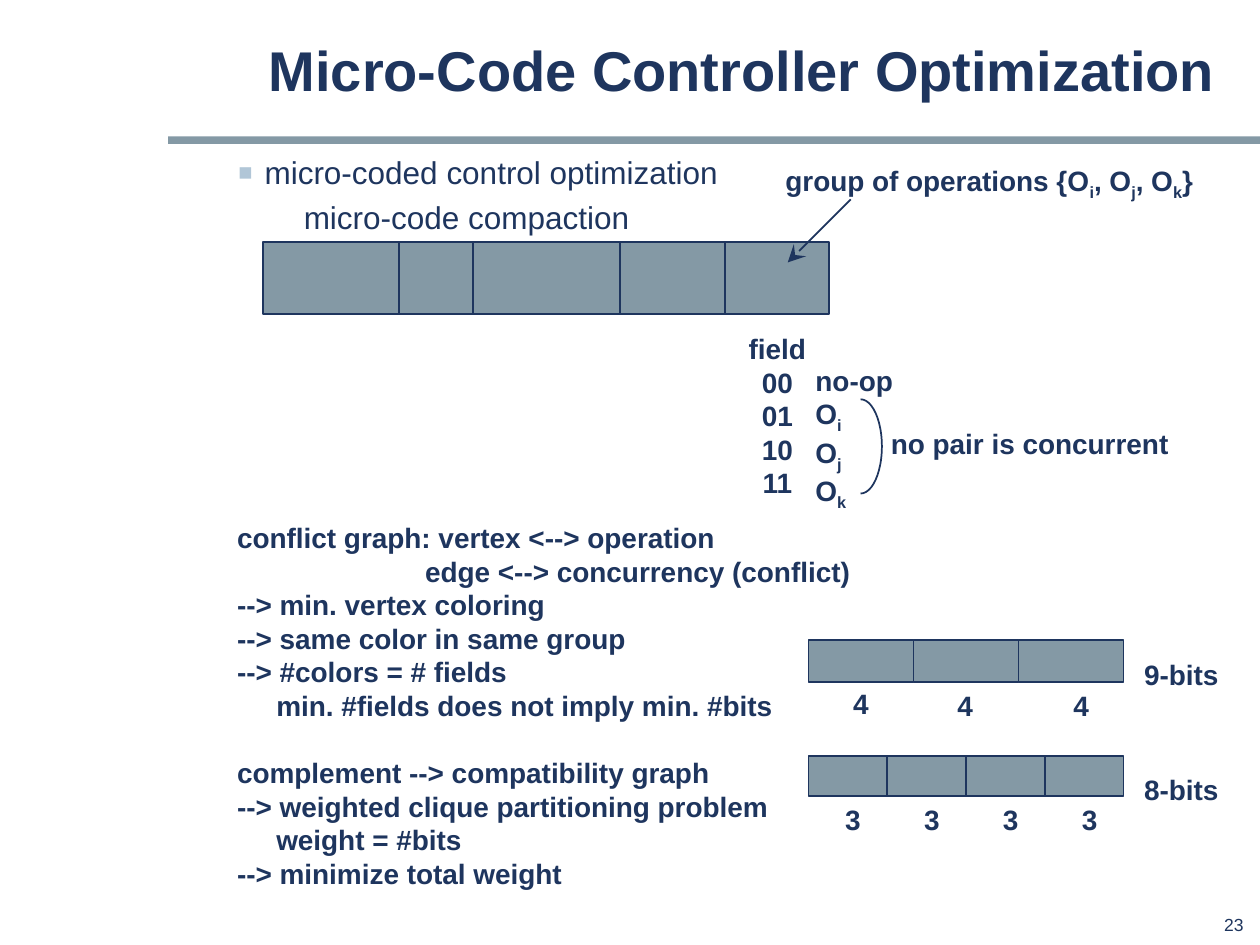
from dataclasses import dataclass

from lxml.etree import SubElement
from pptx import Presentation
from pptx.dml.color import RGBColor
from pptx.enum.shapes import MSO_CONNECTOR as Connector, MSO_SHAPE as Shape
from pptx.enum.text import MSO_ANCHOR as Anchor, MSO_AUTO_SIZE as AutoSize, PP_ALIGN as Align
from pptx.oxml.ns import qn
from pptx.util import Cm, Pt


@dataclass(frozen=True)
class Theme:
    font: str = "Arial"
    ink: str = "1E355E"
    steel: str = "8499A5"
    bullet: str = "B1C6D7"
    title: int = 32
    body: int = 18
    label: int = 16
    number: int = 10
    line: int = 1


THEME = Theme()

# Content: text between tildes is subscript; all lengths are in centimetres
TITLE = "Micro-Code Controller Optimization"
TOPICS = [  # text, level, left margin, first-line indent, bullet
    ("micro-coded control optimization", 1, 1.85, -0.53, "■"),
    ("micro-code compaction", 2, 2.64, 0, None),
]
NOTES = [  # text, left margin, points before
    ("conflict graph: vertex <--> operation", 0, 0),
    ("edge <--> concurrency (conflict)", 3.79, 0),
    ("--> min. vertex coloring", 0, 0),
    ("--> same color in same group", 0, 0),
    ("--> #colors = # fields", 0, 0),
    ("min. #fields does not imply min. #bits", 0.79, 0),
    ("complement --> compatibility graph", 0, 19.2),
    ("--> weighted clique partitioning problem", 0, 0),
    ("weight = #bits", 0.79, 0),
    ("--> minimize total weight", 0, 0),
]
LABELS = [  # lines, place, alignment
    (["field", "00", "01", "10", "11"], (14.83, 6.56, 1.68, 3.63), Align.CENTER),
    (["no-op", "O~i~", "O~j~", "O~k~"], (16.19, 7.2, 2.08, 3.25), Align.LEFT),
    (["group of operations {O~i~, O~j~, O~k~}"], (15.57, 3.18, 8.74, 1.02), Align.CENTER),
    (["no pair is concurrent"], (17.7, 8.47, 6.12, 0.94), Align.CENTER),
    (["9-bits"], (22.81, 13.13, 2.01, 0.94), Align.CENTER),
    (["8-bits"], (22.81, 15.44, 2.01, 0.94), Align.CENTER),
]
WORD = (5.31, 4.88, 11.4, 1.45)
DIVIDERS = [8.05, 9.53, 12.5, 14.61]
CODE_LEFT, CODE_WIDTH = 16.3, 6.35
CODES = [  # top, cell height, (digit, label left, label top) per cell
    (12.91, 0.84, [("4", 16.95, 13.72), ("4", 19.05, 13.76), ("4", 21.39, 13.76)]),
    (15.24, 0.81, [("3", 16.79 + 1.59 * i, 16.05) for i in range(4)]),
]


def color(value):
    return RGBColor.from_string(value)


def lengths(place):
    return [Cm(value) for value in place]


def write(para, text, size=THEME.label, bold=True, align=Align.LEFT,
          margin=0, indent=0, before=0, spacing=None):
    props = para._p.get_or_add_pPr()
    props.set("marL", str(Cm(margin)))
    props.set("indent", str(Cm(indent)))
    para.alignment = align
    para.space_before = Pt(before)
    if spacing:
        para.line_spacing = spacing
    for index, part in enumerate(text.split("~")):
        if not part:
            continue
        span = para.add_run()
        span.text = part
        span.font.name, span.font.size, span.font.bold = THEME.font, Pt(size), bold
        span.font.color.rgb = color(THEME.ink)
        if index % 2:
            span._r.get_or_add_rPr().set("baseline", "-25000")


def paragraphs(frame, count):
    return [frame.paragraphs[0]] + [frame.add_paragraph() for _ in range(count - 1)]


def add_text(page, lines, place, **style):
    box = page.shapes.add_textbox(*lengths(place))
    frame = box.text_frame
    frame.word_wrap = False
    frame.auto_size = AutoSize.SHAPE_TO_FIT_TEXT
    for para, line in zip(paragraphs(frame, len(lines)), lines):
        text, extra = line if isinstance(line, tuple) else (line, {})
        write(para, text, **style, **extra)


def add_block(page, place, kind=Shape.RECTANGLE, filled=True, outlined=True):
    block = page.shapes.add_shape(kind, *lengths(place))
    block.shadow.inherit = False
    if filled:
        block.fill.solid()
        block.fill.fore_color.rgb = color(THEME.steel)
    else:
        block.fill.background()
    if outlined:
        block.line.color.rgb, block.line.width = color(THEME.ink), Pt(THEME.line)
    else:
        block.line.fill.background()
    return block


def add_line(page, ends, head=None):
    line = page.shapes.add_connector(Connector.STRAIGHT, *lengths(ends))
    line.line.color.rgb, line.line.width = color(THEME.ink), Pt(THEME.line)
    if head:
        SubElement(line.line._get_or_add_ln(), qn("a:headEnd"), type=head, w="lg", len="lg")
    SubElement(line._element.spPr, qn("a:effectLst"))


def set_bullet(para, char):
    props = para._p.get_or_add_pPr()
    if not char:
        SubElement(props, qn("a:buNone"))
        return
    tint = SubElement(props, qn("a:buClr"))
    SubElement(tint, qn("a:srgbClr"), val=THEME.bullet)
    SubElement(props, qn("a:buSzPct"), val="75000")
    SubElement(props, qn("a:buFont"), typeface=THEME.font)
    SubElement(props, qn("a:buChar"), char=char)


def fit_placeholder(holder, place, anchor):
    holder.left, holder.top, holder.width, holder.height = lengths(place)
    frame = holder.text_frame
    frame.word_wrap, frame.auto_size = True, AutoSize.NONE
    frame.vertical_anchor = anchor
    return frame


def main():
    deck = Presentation()
    deck.slide_width, deck.slide_height = Cm(25.4), Cm(19.05)
    page = deck.slides.add_slide(deck.slide_layouts[1])

    # Title, rule and page number
    frame = fit_placeholder(page.shapes.title, (3.38, 0.43, 21.38, 2.11), Anchor.MIDDLE)
    write(frame.paragraphs[0], TITLE, size=THEME.title, align=Align.RIGHT, spacing=0.88)
    add_block(page, (3.39, 2.75, 22.01, 0.15), outlined=False)
    add_text(page, ["23"], (23.67, 18.31, 1.65, 0.66),
             size=THEME.number, bold=False, align=Align.RIGHT)

    # Topic list
    frame = fit_placeholder(page.placeholders[1], (3.23, 3.05, 21.39, 14.91), Anchor.TOP)
    for index, (para, topic) in enumerate(zip(paragraphs(frame, len(TOPICS)), TOPICS)):
        text, level, margin, indent, char = topic
        para.level = level
        set_bullet(para, char)
        write(para, text, size=THEME.body, bold=False, margin=margin, indent=indent,
              before=6.8 if index else 0, spacing=0.88)

    # Micro-code word with its fields
    add_block(page, WORD)
    for x in DIVIDERS:
        add_line(page, (x, WORD[1], x, WORD[1] + WORD[3]))
    add_line(page, (15.88, 5.29, 17.15, 4.02), head="stealth")

    # Half-ellipse bracket beside the operations
    arc = add_block(page, (16.92, 8.05, 0.86, 1.9), kind=Shape.ARC, filled=False)
    arc.adjustments[0], arc.adjustments[1] = 162, 54

    # Labels and notes
    for lines, place, align in LABELS:
        add_text(page, lines, place, align=align)
    add_text(page, [(text, {"margin": margin, "before": before})
                    for text, margin, before in NOTES], (4.53, 10.37, 12.88, 7.7))

    # Encoded words, cells of equal width
    for top, height, cells in CODES:
        width = CODE_WIDTH / len(cells)
        for index, (digit, left, label_top) in enumerate(cells):
            add_block(page, (CODE_LEFT + index * width, top, width, height))
            add_text(page, [digit], (left, label_top, 0.81, 0.94), align=Align.CENTER)

    deck.save("out.pptx")


if __name__ == "__main__":
    main()
